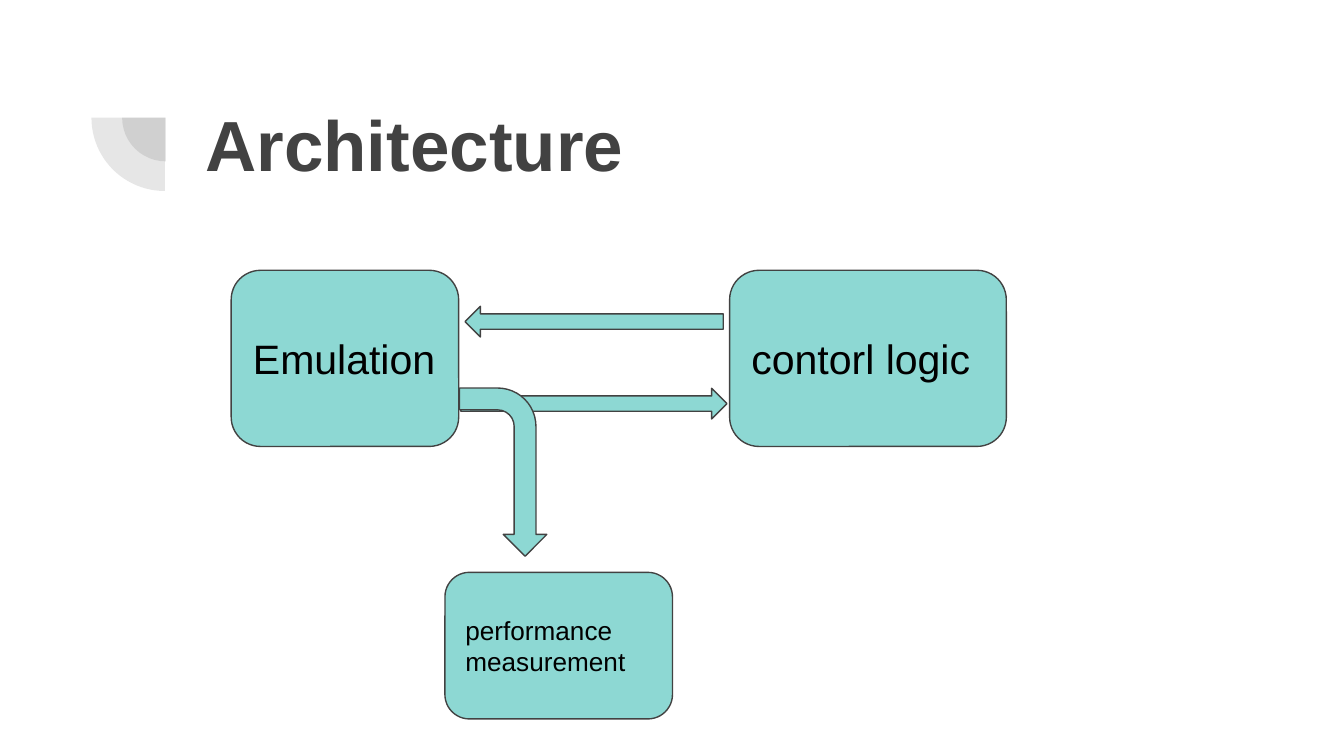
from typing import NamedTuple

from lxml.etree import SubElement
from pptx import Presentation
from pptx.dml.color import RGBColor as Rgb
from pptx.enum.shapes import MSO_SHAPE as Kind
from pptx.enum.text import MSO_ANCHOR as Anchor, PP_ALIGN as Align
from pptx.oxml.ns import qn
from pptx.util import Cm, Pt

HUES = {"dark": "424242", "teal": "8DD8D3", "text": "000000"}


class Part(NamedTuple):
    kind: Kind
    left: float
    top: float
    width: float
    height: float
    turn: float = 0
    adjust: tuple = ()
    text: str = ""
    size: float = 22


BOX_TOP, BOX_TALL = 5.11, 3.33
THICK = 0.58

PIES = [
    Part(Kind.PIE, 2.31, 1.4, 1.65, 1.65),
    Part(Kind.PIE, 1.73, 0.84, 2.77, 2.77),
]

PARTS = [
    Part(Kind.ROUNDED_RECTANGLE, 4.37, BOX_TOP, 4.3, BOX_TALL,
         text="Emulation"),
    Part(Kind.ROUNDED_RECTANGLE, 13.79, BOX_TOP, 5.23, BOX_TALL,
         text="contorl logic"),
    Part(Kind.RIGHT_ARROW, 8.71, 7.34, 5.03, THICK),
    Part(Kind.LEFT_ARROW, 8.79, 5.79, 4.88, THICK),
    Part(Kind.BENT_ARROW, 7.92, 8.1, 3.18, 1.65, turn=90,
         adjust=(0.25, 0.25, 0.25, 0.44)),
    Part(Kind.ROUNDED_RECTANGLE, 8.41, 10.82, 4.3, 2.77,
         text="performance measurement", size=14),
]


def hue(name: str) -> Rgb:
    return Rgb.from_string(HUES[name])


def write(shape, text: str, *, size: float, color: str = "text",
          bold: bool = False, anchor: Anchor = Anchor.MIDDLE) -> None:
    frame = shape.text_frame
    frame.word_wrap = True
    frame.vertical_anchor = anchor
    frame.margin_left = frame.margin_right = Cm(0.25)
    frame.margin_top = frame.margin_bottom = Cm(0.25)
    para = frame.paragraphs[0]
    para.alignment = Align.LEFT
    run = para.add_run()
    run.text = text
    font = run.font
    font.name, font.size, font.bold = "Arial", Pt(size), bold
    font.color.rgb = hue(color)


def place(slide, part: Part, fill: str):
    shape = slide.shapes.add_shape(
        part.kind, Cm(part.left), Cm(part.top), Cm(part.width), Cm(part.height))
    shape.shadow.inherit = False
    shape.rotation = part.turn
    for i, value in enumerate(part.adjust):
        shape.adjustments[i] = value
    shape.fill.solid()
    shape.fill.fore_color.rgb = hue(fill)
    return shape


def draw_pie(slide, part: Part) -> None:
    """Draw a faint quarter disc, its corner at the top right."""
    # Pie angles are in 1/60000 degree, and adjustments in units of 100000.
    angles = tuple(deg * 0.6 for deg in (179.88, 270))
    shape = place(slide, part._replace(turn=270, adjust=angles), "dark")
    shape.line.fill.background()
    color = shape.fill._xPr.find(qn("a:solidFill"))[0]
    SubElement(color, qn("a:alpha"), val="13000")


def draw_part(slide, part: Part) -> None:
    shape = place(slide, part, "teal")
    shape.line.color.rgb = hue("dark")
    shape.line.width = Pt(0.75)
    if part.text:
        write(shape, part.text, size=part.size)


def main() -> None:
    deck = Presentation()
    deck.slide_width, deck.slide_height = Cm(25.4), Cm(14.29)
    slide = deck.slides.add_slide(deck.slide_layouts[6])
    for pie in PIES:
        draw_pie(slide, pie)
    title = slide.shapes.add_textbox(Cm(3.63), Cm(1.65), Cm(19.53), Cm(2.77))
    write(title, "Architecture", size=38, color="dark", bold=True,
          anchor=Anchor.TOP)
    for part in PARTS:
        draw_part(slide, part)
    deck.save("out.pptx")


if __name__ == "__main__":
    main()
